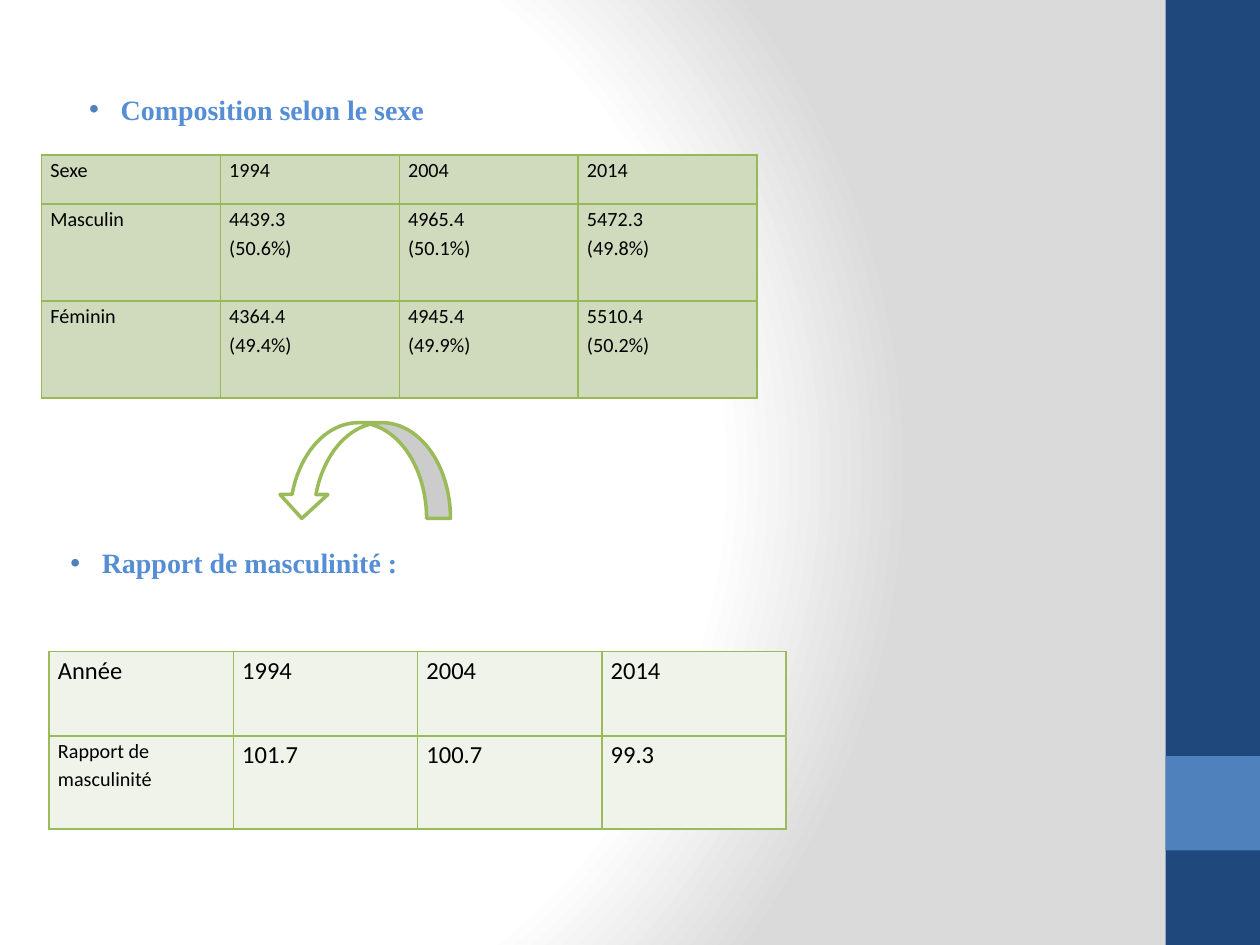
from dataclasses import dataclass

from lxml import etree
from pptx import Presentation, oxml, util as u
from pptx.dml.color import RGBColor
from pptx.enum import shapes, text
from pptx.oxml.ns import nsdecls, qn


@dataclass(frozen=True)
class Theme:
    white: str = "FFFFFF"
    gray: str = "DADADA"
    navy: str = "1F497D"
    blue: str = "4F81BD"
    sky: str = "558ED5"
    ink: str = "000000"
    green: str = "9BBB59"
    edge: str = "98B955"
    sage: str = "CFDBBC"
    pale: str = "EFF3EA"
    body: str = "Calibri"
    serif: str = "Times New Roman"
    small: float = 11.5
    large: float = 14
    head: float = 16


@dataclass(frozen=True)
class Box:
    x: float
    y: float
    w: float
    h: float


@dataclass(frozen=True)
class Grid:
    x: float
    y: float
    w: float
    rows: tuple
    cells: tuple
    fill: str
    edge: str
    size: float


T = Theme()
COLS, ROWS = 40, 30
WIDE, HIGH = u.Inches(10), u.Inches(7.5)

BARS = ((Box(37, 0, 3, 30), T.navy), (Box(37, 24, 3, 3), T.blue))
HEADS = (
    (Box(1.92, 2.72, 12.32, 1.48), "Composition selon le sexe"),
    (Box(1.32, 17.12, 17.96, 1.48), "Rapport de masculinité :"),
)
ARROW = Box(10.04, 12.2, 3.04, 5.48)
YEARS = ("1994", "2004", "2014")
SEXES = Grid(1.32, 4.92, 22.72, (1.56, 3.08, 3.08), (
    ("Sexe", *YEARS),
    ("Masculin", "4439.3\n(50.6%)", "4965.4\n(50.1%)", "5472.3\n(49.8%)"),
    ("Féminin", "4364.4\n(49.4%)", "4945.4\n(49.9%)", "5510.4\n(50.2%)"),
), T.sage, T.edge, T.small)
RATIOS = Grid(1.56, 20.68, 23.4, (2.68, 2.96), (
    ("Année", *YEARS),
    ("Rapport de masculinité", "101.7", "100.7", "99.3"),
), T.pale, T.green, T.large)


def across(n: float) -> int:
    return round(WIDE * n / COLS)


def down(n: float) -> int:
    return round(HIGH * n / ROWS)


def place(box: Box) -> tuple:
    return across(box.x), down(box.y), across(box.w), down(box.h)


def rgb(hue: str) -> RGBColor:
    return RGBColor.from_string(hue)


def style(para, name: str, size: float, hue: str, bold: bool = False) -> None:
    font = para.font
    font.name, font.size, font.bold = name, u.Pt(size), bold
    font.color.rgb = rgb(hue)


def paint(slide) -> None:
    stops = "".join(
        f'<a:gs pos="{pos}"><a:srgbClr val="{hue}"/></a:gs>'
        for pos, hue in ((0, T.white), (75000, T.white), (100000, T.gray)))
    back = oxml.parse_xml(
        f'<p:bg {nsdecls("p", "a")}><p:bgPr><a:gradFill rotWithShape="1">'
        f'<a:gsLst>{stops}</a:gsLst><a:path path="circle">'
        '<a:fillToRect l="20000" t="50000" r="100000" b="50000"/></a:path>'
        '</a:gradFill><a:effectLst/></p:bgPr></p:bg>')
    slide.element.find(qn("p:cSld")).insert(0, back)


def draw(slide, kind, box: Box, fill: str):
    shape = slide.shapes.add_shape(kind, *place(box))
    shape.shadow.inherit = False
    shape.fill.solid()
    shape.fill.fore_color.rgb = rgb(fill)
    shape.line.fill.background()
    return shape


def head(slide, box: Box, words: str) -> None:
    frame = slide.shapes.add_textbox(*place(box)).text_frame
    frame.word_wrap = True
    frame.vertical_anchor = text.MSO_ANCHOR.MIDDLE
    para = frame.paragraphs[0]
    para.text = words
    para.space_before = u.Pt(0.2 * T.head)
    style(para, T.serif, T.head, T.sky, True)
    props = para._p.get_or_add_pPr()
    props.set("marL", str(u.Inches(0.38)))
    props.set("indent", str(u.Inches(-0.25)))
    marks = oxml.parse_xml(
        f'<a:pPr {nsdecls("a")}><a:buClr><a:srgbClr val="{T.blue}"/></a:buClr>'
        '<a:buFont typeface="Arial"/><a:buChar char="•"/></a:pPr>')
    spot = props.index(props.find(qn("a:defRPr")))
    props[spot:spot] = list(marks)


def border(cell, hue: str) -> None:
    props = cell._tc.get_or_add_tcPr()
    for spot, side in enumerate(("lnL", "lnR", "lnT", "lnB")):
        line = etree.Element(qn(f"a:{side}"), w=str(u.Pt(1)))
        fill = etree.SubElement(line, qn("a:solidFill"))
        etree.SubElement(fill, qn("a:srgbClr"), val=hue)
        props.insert(spot, line)


def table(slide, grid: Grid) -> None:
    count = len(grid.cells[0])
    box = Box(grid.x, grid.y, grid.w, sum(grid.rows))
    tab = slide.shapes.add_table(len(grid.rows), count, *place(box)).table
    tab.first_row = tab.horz_banding = False
    for row, high, line in zip(tab.rows, grid.rows, grid.cells):
        row.height = down(high)
        for cell, words in zip(row.cells, line):
            cell.margin_left = cell.margin_right = u.Inches(0.07)
            cell.margin_top = cell.margin_bottom = 0
            cell.fill.solid()
            cell.fill.fore_color.rgb = rgb(grid.fill)
            border(cell, grid.edge)
            cell.text = words
            size = T.small if words.startswith("Rapport") else grid.size
            for para in cell.text_frame.paragraphs:
                para.line_spacing = 1.15
                style(para, T.body, size, T.ink)


def main() -> None:
    deck = Presentation()
    deck.slide_width, deck.slide_height = WIDE, HIGH
    slide = deck.slides.add_slide(deck.slide_layouts[6])
    paint(slide)
    for box, fill in BARS:
        draw(slide, shapes.MSO_SHAPE.RECTANGLE, box, fill)
    for grid in (SEXES, RATIOS):
        table(slide, grid)
    arrow = draw(slide, shapes.MSO_SHAPE.CURVED_RIGHT_ARROW, ARROW, T.white)
    arrow.rotation = 90
    arrow.line.color.rgb = rgb(T.green)
    arrow.line.width = u.Pt(2)
    for box, words in HEADS:
        head(slide, box, words)
    deck.save("out.pptx")


if __name__ == "__main__":
    main()
